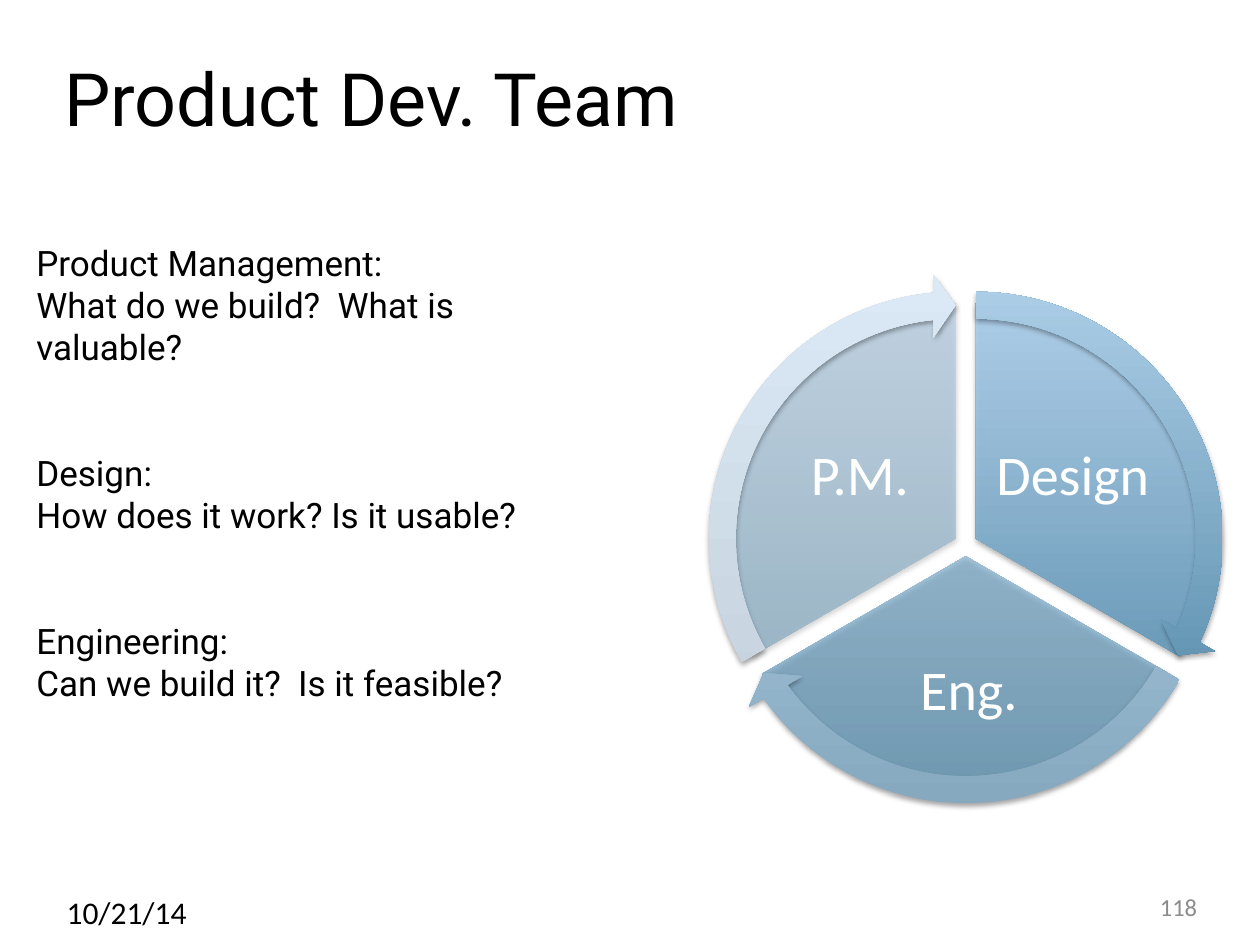
from lxml.etree import SubElement
from pptx import Presentation
from pptx.dml.color import RGBColor
from pptx.enum.shapes import MSO_SHAPE as Preset
from pptx.enum.text import MSO_ANCHOR as Anchor, PP_ALIGN as Align
from pptx.oxml.ns import qn
from pptx.util import Inches, Pt

COLORS = {"black": "000000", "gray": "8C8C8C", "white": "FFFFFF",
          "pie_dark": "4C87A9", "pie_light": "ADD0ED"}

TITLE = "Product Dev. Team"
ROLES = [
    ("Product Management:", "What do we build?  What is valuable?"),
    ("Design:", "How does it work? Is it usable?"),
    ("Engineering:", "Can we build it?  Is it feasible?"),
]
CENTER = (7.665, 4.275)
PIE_SIZE, ARROW_SIZE = 3.73, 4.2
# Angles are in units of 100000/60000 degrees, as the adjustments take them.
SECTORS = [
    dict(label="Design", label_box=(7.85, 3.2, 1.33, 1.11), shift=(0.08, 0),
         pie=(162, 18), opacity=90, arrow=(14.725, 161.994),
         arrow_colors=("4981A1", "AECFE8")),
    dict(label="Eng.", label_box=(6.69, 4.97, 2, 0.98), shift=(0, 0.14),
         pie=(18, 90), opacity=70, arrow=(86.72, 18.005),
         arrow_colors=("84A7BE", "BDDBF2")),
    dict(label="P.M.", label_box=(6.16, 3.2, 1.33, 1.11), shift=(-0.08, 0),
         pie=(90, 162), opacity=50, arrow=(158.73, 90),
         arrow_colors=("C1CED9", "DAE9F5")),
]


def style(paragraph, font, size, color, align=Align.LEFT):
    paragraph.alignment = align
    paragraph.font.name = font
    paragraph.font.size = Pt(size)
    paragraph.font.color.rgb = RGBColor.from_string(COLORS[color])


def add_text(page, place, lines, font, size, color, align=Align.LEFT,
             anchor=Anchor.TOP, inset=None):
    box = page.shapes.add_textbox(*map(Inches, place))
    frame = box.text_frame
    frame.word_wrap = True
    frame.vertical_anchor = anchor
    if inset is not None:
        frame.margin_left = frame.margin_right = Inches(inset)
        frame.margin_top = frame.margin_bottom = Inches(inset)
    frame.text = "\n".join(lines)
    for paragraph in frame.paragraphs:
        style(paragraph, font, size, color, align)
    return frame


def add_shadow(shape):
    shape.shadow.inherit = False
    effects = shape._element.spPr.find(qn("a:effectLst"))
    shadow = SubElement(effects, qn("a:outerShdw"), blurRad=str(Pt(3.1)),
                        dist=str(Pt(1.8)), dir="5400000", rotWithShape="0")
    color = SubElement(shadow, qn("a:srgbClr"), val=COLORS["black"])
    SubElement(color, qn("a:alpha"), val="35000")


def add_wheel_part(page, preset, size, shift, adjustments, colors, opacity=100):
    """Add one gradient-filled part, centred on the wheel and then shifted."""
    left, top = (c + s - size / 2 for c, s in zip(CENTER, shift))
    part = page.shapes.add_shape(preset, *map(Inches, (left, top, size, size)))
    for index, value in enumerate(adjustments):
        part.adjustments[index] = value
    part.line.fill.background()
    part.fill.gradient()
    part.fill.gradient_angle = 90
    for stop, color in zip(part.fill.gradient_stops, colors):
        stop.color.rgb = RGBColor.from_string(color)
    if opacity < 100:
        for color in part._element.spPr.iter(qn("a:srgbClr")):
            SubElement(color, qn("a:alpha"), val=str(opacity * 1000))
    add_shadow(part)


def main():
    deck = Presentation()
    deck.slide_width, deck.slide_height = Inches(10), Inches(7.5)
    page = deck.slides.add_slide(deck.slide_layouts[5])

    title = page.shapes.title
    title.left, title.top, title.width, title.height = map(
        Inches, (0.41, 0.27, 9.34, 1))
    title.text_frame.text = TITLE
    title.text_frame.vertical_anchor = Anchor.MIDDLE
    style(title.text_frame.paragraphs[0], "Roboto", 42, "black")

    add_text(page, (0.43, 7.04, 1.58, 0.29), ["10/21/14"], "Calibri", 18, "black")
    add_text(page, (8.78, 7.07, 0.82, 0.25), ["118"], "Calibri", 14, "gray",
             Align.RIGHT, Anchor.MIDDLE)

    for sector in SECTORS:
        add_wheel_part(page, Preset.PIE, PIE_SIZE, sector["shift"], sector["pie"],
                       (COLORS["pie_dark"], COLORS["pie_light"]), sector["opacity"])
        add_text(page, sector["label_box"], [sector["label"]], "Calibri", 32,
                 "white", Align.CENTER, Anchor.MIDDLE, inset=0.04)
    for sector in SECTORS:
        add_wheel_part(page, Preset.CIRCULAR_ARROW, ARROW_SIZE, sector["shift"],
                       (0.051, 3.275, *sector["arrow"], 0.059),
                       sector["arrow_colors"])

    roles = add_text(page, (0.19, 1.87, 4.62, 3.47),
                     [line for role in ROLES for line in role],
                     "Roboto", 20, "black")
    for heading in roles.paragraphs[2::2]:
        heading.space_before = Pt(48)

    deck.save("out.pptx")


if __name__ == "__main__":
    main()
